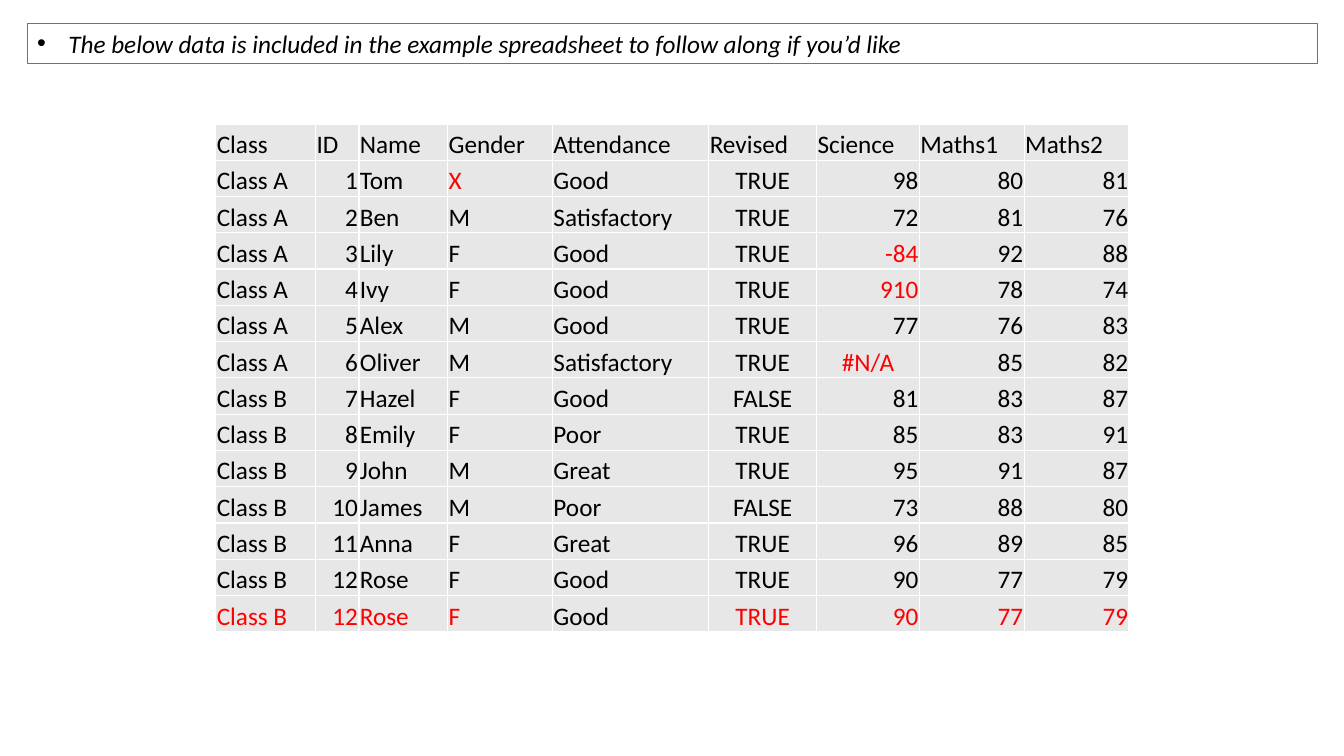
from dataclasses import dataclass

from lxml import etree
from pptx import Presentation
from pptx.dml.color import RGBColor
from pptx.enum.shapes import MSO_SHAPE
from pptx.enum.text import MSO_ANCHOR, MSO_AUTO_SIZE, PP_ALIGN
from pptx.oxml.ns import qn
from pptx.slide import Slide
from pptx.table import _Cell
from pptx.text.text import _Paragraph
from pptx.util import Emu, Pt

LEFT, CENTER, RIGHT = PP_ALIGN.LEFT, PP_ALIGN.CENTER, PP_ALIGN.RIGHT
TOP, BOTTOM = MSO_ANCHOR.TOP, MSO_ANCHOR.BOTTOM
RECTANGLE = MSO_SHAPE.RECTANGLE
GROW = MSO_AUTO_SIZE.SHAPE_TO_FIT_TEXT

EMU_PER_PX = 9144  # 100 px to the inch


@dataclass(frozen=True)
class Theme:
    font: str = "Calibri"
    size: int = 18
    text: str = "000000"
    error: str = "FF0000"
    cell: str = "E7E7E7"
    border: str = "FFFFFF"
    border_pt: float = 1
    frame: str = "C55A11"
    frame_pt: float = 0.75


@dataclass(frozen=True)
class Column:
    name: str
    width: int
    align: PP_ALIGN


@dataclass(frozen=True)
class Pupil:
    values: tuple[str, ...]
    errors: tuple[str, ...] = ()  # names of the columns shown in red


THEME = Theme()
NOTE = "The below data is included in the example spreadsheet to follow along if you’d like"
MISSING = "#N/A"
ROW_HEIGHT = 36

COLUMNS = (
    Column("Class", 99, LEFT),
    Column("ID", 43, RIGHT),
    Column("Name", 88, LEFT),
    Column("Gender", 104, LEFT),
    Column("Attendance", 155, LEFT),
    Column("Revised", 107, CENTER),
    Column("Science", 102, RIGHT),
    Column("Maths1", 104, RIGHT),
    Column("Maths2", 104, RIGHT),
)

PUPILS = (
    Pupil(("Class A", "1", "Tom", "X", "Good", "TRUE", "98", "80", "81"), ("Gender",)),
    Pupil(("Class A", "2", "Ben", "M", "Satisfactory", "TRUE", "72", "81", "76")),
    Pupil(("Class A", "3", "Lily", "F", "Good", "TRUE", "-84", "92", "88"), ("Science",)),
    Pupil(("Class A", "4", "Ivy", "F", "Good", "TRUE", "910", "78", "74"), ("Science",)),
    Pupil(("Class A", "5", "Alex", "M", "Good", "TRUE", "77", "76", "83")),
    Pupil(("Class A", "6", "Oliver", "M", "Satisfactory", "TRUE", MISSING, "85", "82"),
          ("Science",)),
    Pupil(("Class B", "7", "Hazel", "F", "Good", "FALSE", "81", "83", "87")),
    Pupil(("Class B", "8", "Emily", "F", "Poor", "TRUE", "85", "83", "91")),
    Pupil(("Class B", "9", "John", "M", "Great", "TRUE", "95", "91", "87")),
    Pupil(("Class B", "10", "James", "M", "Poor", "FALSE", "73", "88", "80")),
    Pupil(("Class B", "11", "Anna", "F", "Great", "TRUE", "96", "89", "85")),
    Pupil(("Class B", "12", "Rose", "F", "Good", "TRUE", "90", "77", "79")),
    Pupil(("Class B", "12", "Rose", "F", "Good", "TRUE", "90", "77", "79"),
          tuple(c.name for c in COLUMNS if c.name != "Attendance")),
)


def px(n: int) -> Emu:
    return Emu(n * EMU_PER_PX)


def rgb(color: str) -> RGBColor:
    return RGBColor.from_string(color)


def add_run(p: _Paragraph, text: str, color: str = THEME.text, italic: bool = False) -> None:
    r = p.add_run()
    r.text = text
    r.font.name = THEME.font
    r.font.size = Pt(THEME.size)
    r.font.italic = italic
    r.font.color.rgb = rgb(color)


def add_bullet(p: _Paragraph, indent: int) -> None:
    pPr = p._p.get_or_add_pPr()
    pPr.set("marL", str(px(indent)))
    pPr.set("indent", str(-px(indent)))
    etree.SubElement(pPr, qn("a:buFont"), typeface="Arial")
    etree.SubElement(pPr, qn("a:buChar"), char="•")


def set_borders(cell: _Cell) -> None:
    tcPr = cell._tc.get_or_add_tcPr()
    for i, side in enumerate(("a:lnL", "a:lnR", "a:lnT", "a:lnB")):
        ln = etree.Element(qn(side), w=str(Pt(THEME.border_pt)))
        fill = etree.SubElement(ln, qn("a:solidFill"))
        etree.SubElement(fill, qn("a:srgbClr"), val=THEME.border)
        tcPr.insert(i, ln)


def fill_cell(cell: _Cell, text: str, align: PP_ALIGN, color: str = THEME.text) -> None:
    cell.fill.solid()
    cell.fill.fore_color.rgb = rgb(THEME.cell)
    set_borders(cell)
    cell.vertical_anchor = BOTTOM
    cell.margin_left = cell.margin_right = cell.margin_top = px(1)
    cell.margin_bottom = 0
    p = cell.text_frame.paragraphs[0]
    p.alignment = align
    add_run(p, text, color)


def add_pupil_table(slide: Slide, left: int, top: int) -> None:
    rows = len(PUPILS) + 1
    width = sum(c.width for c in COLUMNS)
    table = slide.shapes.add_table(rows, len(COLUMNS), px(left), px(top),
                                   px(width), px(rows * ROW_HEIGHT)).table
    table.first_row = table.horz_banding = False
    for row in table.rows:
        row.height = px(ROW_HEIGHT)
    for j, column in enumerate(COLUMNS):
        table.columns[j].width = px(column.width)
        fill_cell(table.cell(0, j), column.name, LEFT)
        for i, pupil in enumerate(PUPILS, start=1):
            value = pupil.values[j]
            align = CENTER if value == MISSING else column.align
            color = THEME.error if column.name in pupil.errors else THEME.text
            fill_cell(table.cell(i, j), value, align, color)


def add_note(slide: Slide, left: int, top: int, width: int, height: int) -> None:
    sp = slide.shapes.add_shape(RECTANGLE, px(left), px(top), px(width), px(height))
    sp.shadow.inherit = False
    sp.fill.background()
    sp.line.color.rgb = rgb(THEME.frame)
    sp.line.width = Pt(THEME.frame_pt)
    tf = sp.text_frame
    tf.word_wrap = True
    tf.auto_size = GROW
    tf.vertical_anchor = TOP
    p = tf.paragraphs[0]
    p.alignment = LEFT
    add_bullet(p, 31)
    add_run(p, NOTE, italic=True)


def main() -> None:
    prs = Presentation()
    prs.slide_width, prs.slide_height = px(1333), px(750)
    slide = prs.slides.add_slide(prs.slide_layouts[6])

    # Pupil data
    add_pupil_table(slide, 214, 123)

    # Framed note above the table
    add_note(slide, 27, 23, 1280, 40)

    prs.save("out.pptx")


if __name__ == "__main__":
    main()
